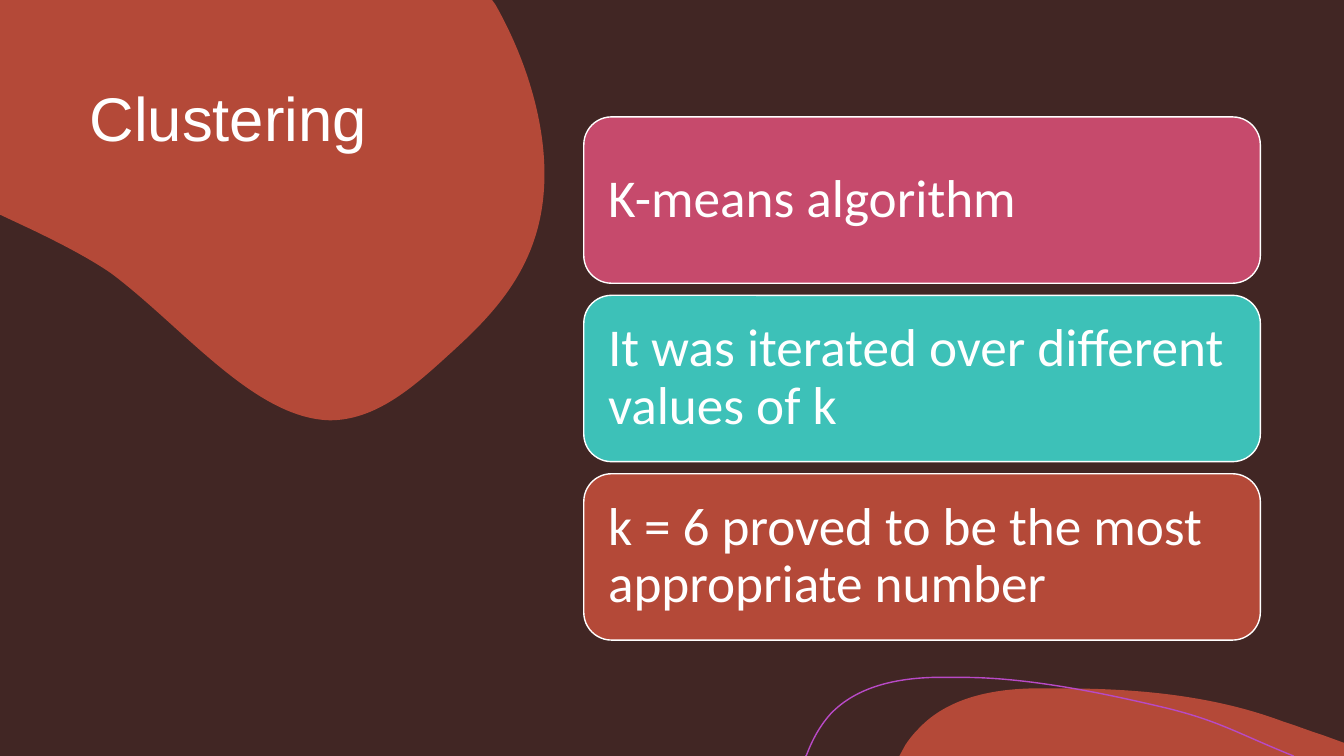
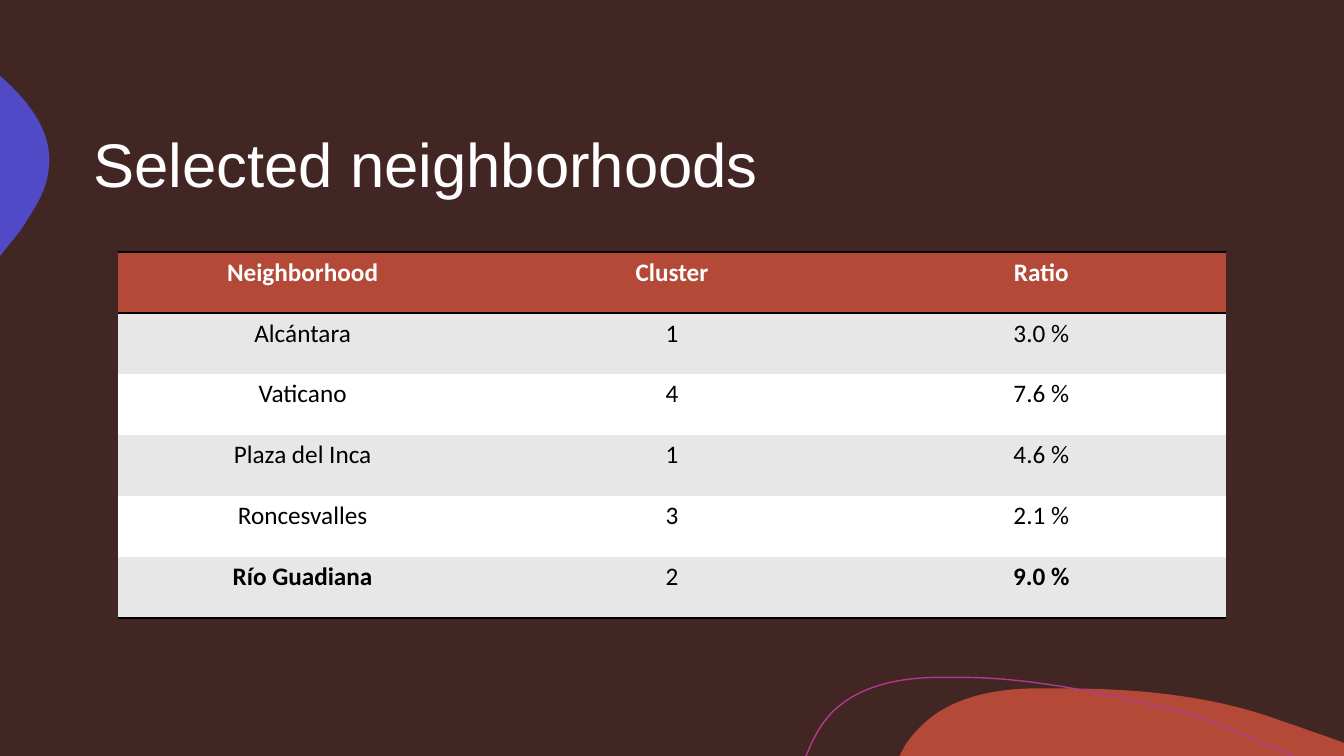
"""Build two slides on clustering: the method and the selected neighborhoods."""
import lxml.etree
import pptx
import pptx.dml.color
import pptx.enum.shapes
import pptx.enum.text
import pptx.oxml.ns
import pptx.util

Inches = pptx.util.Inches
Pt = pptx.util.Pt
qn = pptx.oxml.ns.qn
ANCHOR = pptx.enum.text.MSO_ANCHOR
ALIGN = pptx.enum.text.PP_ALIGN


class Theme:
    background = "412624"
    rust = "B44938"
    rose = "C64A6C"
    teal = "3DC1B8"
    indigo = "514AC6"
    violet = "B84AC6"
    magenta = "B4388E"
    white = "FFFFFF"
    black = "000000"
    gray = "E7E7E7"
    title_font = "Arial"
    body_font = "Calibri"
    title_size = 44
    card_size = 38
    table_size = 18
    line_spacing = 0.9
    thin = 1
    rule = 2


CARDS = [
    ("K-means algorithm", Theme.rose),
    ("It was iterated over different values of k", Theme.teal),
    ("k = 6 proved to be the most appropriate number", Theme.rust),
]
CARD_LEFT, CARD_TOP, CARD_WIDTH, CARD_HEIGHT = 5.79, 1.16, 6.71, 1.65
CARD_GAP = 0.12
CARD_INSET = 0.16

HEADER = ("Neighborhood", "Cluster", "Ratio")
ROWS = [
    ("Alcántara", "1", "3.0 %"),
    ("Vaticano", "4", "7.6 %"),
    ("Plaza del Inca", "1", "4.6 %"),
    ("Roncesvalles", "3", "2.1 %"),
    ("Río Guadiana", "2", "9.0 %"),
]
BOLD_TEXTS = {*HEADER, "Río Guadiana", "9.0 %"}
TABLE_BOX = (1.17, 2.5, 10.99, 3.63)
PLAIN_TABLE_STYLE = "{2D5ABB26-0587-4C30-8999-92F81FD0307C}"

CORNER_BLOB = [
    (0, 0), (4.88, 0), (4.91, 0.04),
    (5.23, 0.6, 5.45, 1.31, 5.39, 1.94),
    (5.32, 2.7, 4.86, 3.15, 4.44, 3.53),
    (4.09, 3.85, 3.72, 4.17, 3.27, 4.17),
    (2.52, 4.15, 1.82, 3.25, 1.1, 2.71),
    (0.88, 2.56, 0.61, 2.42, 0.32, 2.28),
    (0, 2.13), (0, 0),
]
EDGE_BLOB = [
    (0, 0.75), (0.01, 0.76),
    (0.3, 1.02, 0.54, 1.33, 0.48, 1.7),
    (0.46, 1.87, 0.37, 2.03, 0.27, 2.18),
    (0.24, 2.24, 0.17, 2.33, 0.08, 2.44),
    (0, 2.54),
]
FOOTER_BLOB = [
    (10.54, 6.83),
    (11.28, 6.83, 12.04, 6.9, 12.73, 7.16),
    (12.86, 7.2, 12.98, 7.25, 13.11, 7.29),
    (13.33, 7.37), (13.33, 7.5), (8.92, 7.5), (8.98, 7.39),
    (9.02, 7.33, 9.06, 7.28, 9.11, 7.23),
    (9.39, 6.93, 9.82, 6.84, 10.23, 6.83),
    (10.33, 6.83, 10.43, 6.83, 10.54, 6.83),
]
FOOTER_CURVE = [
    (7.99, 7.5), (8, 7.49),
    (8.06, 7.33, 8.14, 7.19, 8.24, 7.08),
    (8.5, 6.81, 8.89, 6.73, 9.26, 6.72),
    (9.55, 6.72),
    (10.22, 6.72, 11, 6.89, 11.55, 7.02),
    (12.09, 7.15, 12.26, 7.27, 12.83, 7.5),
]


def color(value):
    return pptx.dml.color.RGBColor.from_string(value)


def paint(shape, fill=None, line=None):
    shape.shadow.inherit = False
    if fill:
        shape.fill.solid()
        shape.fill.fore_color.rgb = color(fill)
    else:
        shape.fill.background()
    if line:
        shape.line.color.rgb = color(line)
        shape.line.width = Pt(Theme.thin)
    else:
        shape.line.fill.background()


def bend_sides(shape, segments):
    """Turn each straight side that has control points into a Bezier curve."""
    sides = list(shape._element.iter(qn("a:lnTo")))
    for side, segment in zip(sides, segments):
        if len(segment) == 2:
            continue
        side_curve = lxml.etree.Element(qn("a:cubicBezTo"))
        for x, y in zip(segment[::2], segment[1::2]):
            lxml.etree.SubElement(side_curve, qn("a:pt"),
                                  x=str(Inches(x) - shape.left), y=str(Inches(y) - shape.top))
        side.getparent().replace(side, side_curve)


def add_outline(slide, outline, fill=None, line=None):
    first, *others = [tuple(map(Inches, segment[-2:])) for segment in outline]
    builder = slide.shapes.build_freeform(*first)
    builder.add_line_segments(others, close=fill is not None)
    shape = builder.convert_to_shape()
    bend_sides(shape, outline[1:])
    paint(shape, fill, line)


def write(paragraph, text, font, size, text_color, bold=False):
    run = paragraph.add_run()
    run.text = text
    run.font.name = font
    run.font.size = Pt(size)
    run.font.bold = bold
    run.font.color.rgb = color(text_color)


def add_title(slide, text, box, anchor):
    frame = slide.shapes.add_textbox(*map(Inches, box)).text_frame
    frame.word_wrap = True
    frame.vertical_anchor = anchor
    paragraph = frame.paragraphs[0]
    paragraph.line_spacing = Theme.line_spacing
    write(paragraph, text, Theme.title_font, Theme.title_size, Theme.white)


def add_slide(presentation):
    slide = presentation.slides.add_slide(presentation.slide_layouts[6])
    slide.background.fill.solid()
    slide.background.fill.fore_color.rgb = color(Theme.background)
    return slide


def add_footer(slide, curve_color):
    add_outline(slide, FOOTER_BLOB, fill=Theme.rust)
    add_outline(slide, FOOTER_CURVE, line=curve_color)


def add_card(slide, index, text, fill):
    top = CARD_TOP + index * (CARD_HEIGHT + CARD_GAP)
    card = slide.shapes.add_shape(
        pptx.enum.shapes.MSO_SHAPE.ROUNDED_RECTANGLE,
        *map(Inches, (CARD_LEFT, top, CARD_WIDTH, CARD_HEIGHT)))
    paint(card, fill, Theme.white)
    frame = card.text_frame
    frame.word_wrap = True
    frame.vertical_anchor = ANCHOR.MIDDLE
    frame.margin_left = frame.margin_right = Inches(CARD_INSET)
    paragraph = frame.paragraphs[0]
    paragraph.alignment = ALIGN.LEFT
    paragraph.line_spacing = Theme.line_spacing
    write(paragraph, text, Theme.body_font, Theme.card_size, Theme.white)


def add_border(cell, side):
    properties = cell._tc.get_or_add_tcPr()
    border = lxml.etree.SubElement(properties, qn(f"a:ln{side}"), w=str(Pt(Theme.rule)))
    fill = lxml.etree.SubElement(border, qn("a:solidFill"))
    lxml.etree.SubElement(fill, qn("a:srgbClr"), val=Theme.black)


def fill_cell(cell, text, row, last_row):
    header = row == 0
    if header:
        add_border(cell, "T")
    if row in (0, last_row):
        add_border(cell, "B")
    cell.fill.solid()
    band = Theme.gray if row % 2 else Theme.white
    cell.fill.fore_color.rgb = color(Theme.rust if header else band)
    paragraph = cell.text_frame.paragraphs[0]
    paragraph.alignment = ALIGN.CENTER
    write(paragraph, text, Theme.body_font, Theme.table_size,
          Theme.white if header else Theme.black, text in BOLD_TEXTS)


def add_neighborhood_table(slide):
    rows = [HEADER, *ROWS]
    frame = slide.shapes.add_table(len(rows), len(HEADER), *map(Inches, TABLE_BOX))
    table = frame.table
    table.horz_banding = False
    table._tbl.tblPr.find(qn("a:tableStyleId")).text = PLAIN_TABLE_STYLE
    for row, texts in enumerate(rows):
        for column, text in enumerate(texts):
            fill_cell(table.cell(row, column), text, row, len(rows) - 1)


def build_clustering(presentation):
    slide = add_slide(presentation)
    add_outline(slide, CORNER_BLOB, fill=Theme.rust)
    add_title(slide, "Clustering", (0.79, 0.83, 4.21, 2.5), ANCHOR.TOP)
    add_footer(slide, Theme.violet)
    for index, (text, fill) in enumerate(CARDS):
        add_card(slide, index, text, fill)


def build_neighborhoods(presentation):
    slide = add_slide(presentation)
    add_outline(slide, EDGE_BLOB, fill=Theme.indigo)
    add_footer(slide, Theme.magenta)
    add_title(slide, "Selected neighborhoods", (0.83, 0.83, 11.67, 1.67), ANCHOR.MIDDLE)
    add_neighborhood_table(slide)


def main():
    presentation = pptx.Presentation()
    presentation.slide_width = Inches(13.33)
    presentation.slide_height = Inches(7.5)
    build_clustering(presentation)
    build_neighborhoods(presentation)
    presentation.save("out.pptx")


if __name__ == "__main__":
    main()
